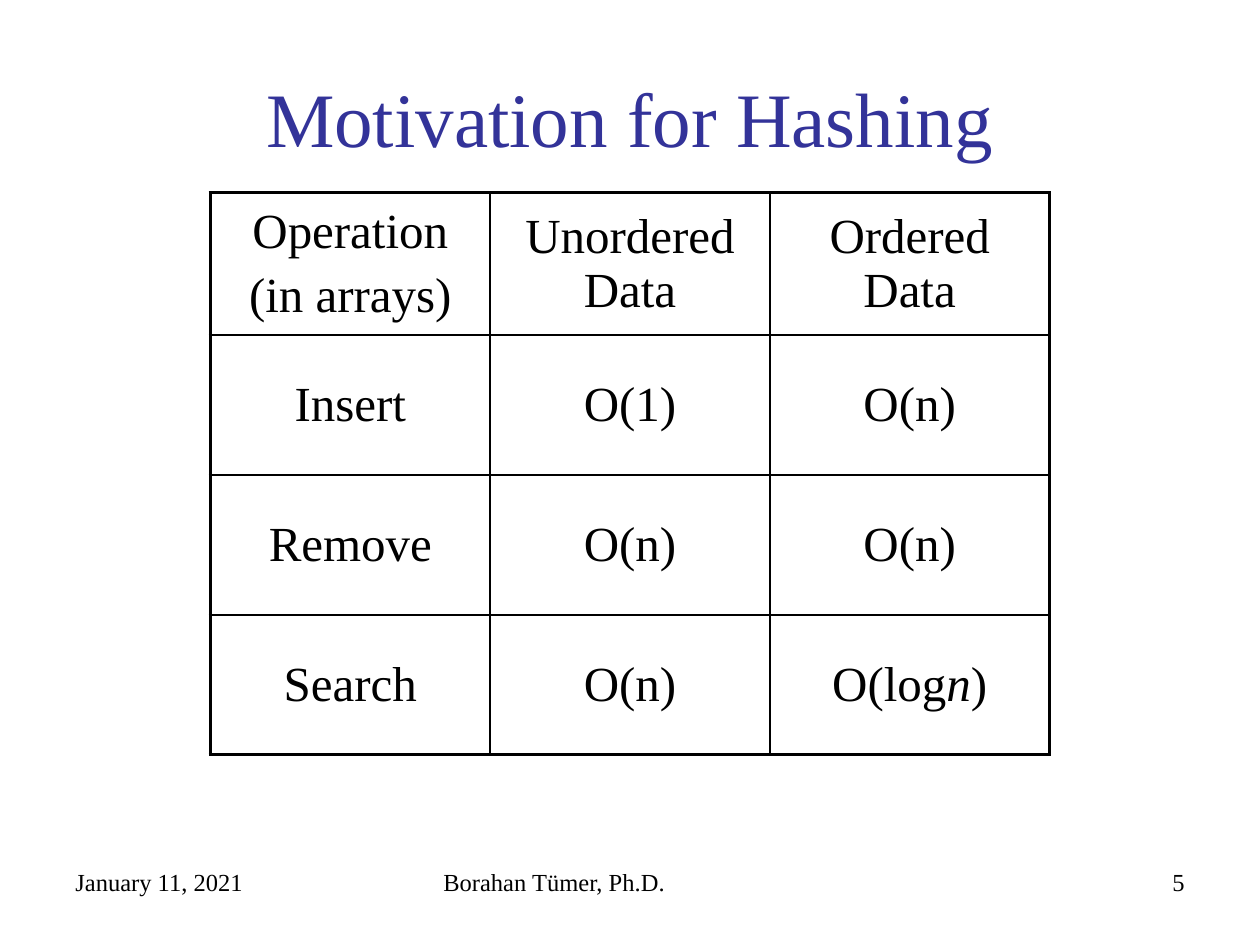
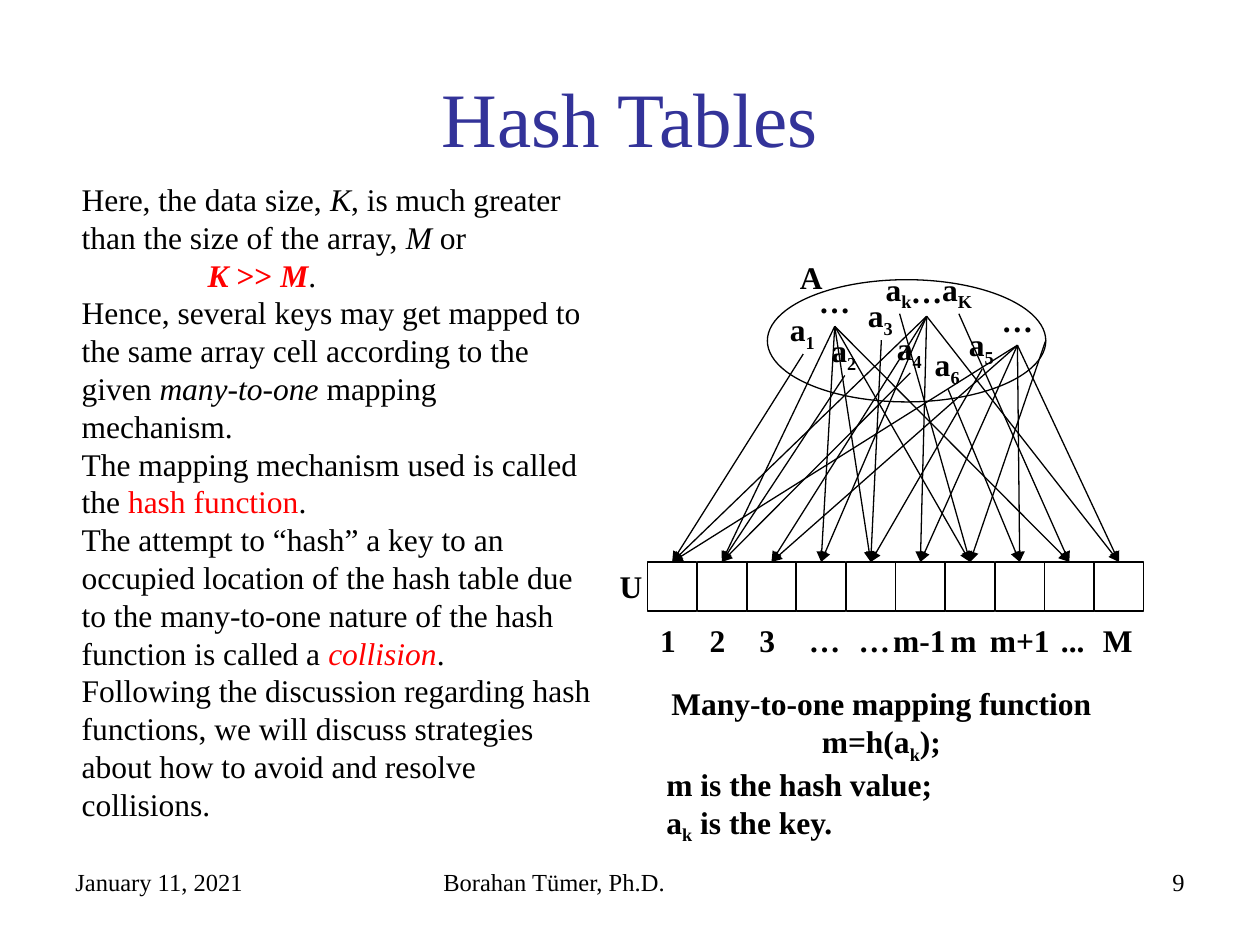
from lxml.etree import SubElement
from pptx import Presentation
from pptx.dml.color import RGBColor
from pptx.enum.shapes import MSO_CONNECTOR, MSO_SHAPE
from pptx.enum.text import MSO_ANCHOR, PP_ALIGN
from pptx.oxml.ns import qn
from pptx.util import Inches, Pt

FONT = "Times New Roman"
COLORS = {"text": "000000", "title": "333399", "accent": "FF0000"}
DATE, AUTHOR = "January 11, 2021", "Borahan Tümer, Ph.D."

# A run is (text, marks): b bold, i italic, r accent colour, s subscript.
# A paragraph is a list of runs.
COMPLEXITY = [
    [[[("Operation", "")], [("(in arrays)", "")]], [[("Unordered Data", "")]], [[("Ordered Data", "")]]],
    [[[("Insert", "")]], [[("O(1)", "")]], [[("O(n)", "")]]],
    [[[("Remove", "")]], [[("O(n)", "")]], [[("O(n)", "")]]],
    [[[("Search", "")]], [[("O(n)", "")]], [[("O(log", ""), ("n", "i"), (")", "")]]],
]
COLUMN_WIDTH = 2.22
ROW_HEIGHTS = [1.13, 1.11, 1.11, 1.11]

EXPLANATION = [
    [("Here, the data size, ", ""), ("K", "i"),
     (", is much greater than the size of the array, ", ""), ("M", "i"), (" or", "")],
    [("K", "bir"), (" >> ", "br"), ("M", "bir"), (".", "")],
    [("Hence, several keys may get mapped to the same array cell according to the given ", ""),
     ("many-to-one", "i"), (" mapping mechanism.", "")],
    [("The mapping mechanism used is called the ", ""), ("hash function", "r"), (".", "")],
    [("The attempt to “hash” a key to an occupied location of the hash table due to the "
      "many-to-one nature of the hash function is called a ", ""), ("collision", "ir"), (".", "")],
    [("Following the discussion regarding hash functions, we will discuss strategies "
      "about how to avoid and resolve collisions.", "")],
]
MAPPING = [
    [("Many-to-one mapping function", "b")],
    [("m=h(a", "b"), ("k", "bs"), (");", "b")],
    [("m is the hash value;", "b")],
    [("a", "b"), ("k", "bs"), (" is the key.", "b")],
]
# letter, subscript, left, top, width, cells the key is mapped to
KEYS = [
    ("a", "1", 6.17, 2.41, 0.41, [0]),
    ("a", "2", 6.5, 2.58, 0.41, [1]),
    ("a", "3", 6.79, 2.3, 0.41, [4]),
    ("a", "4", 7.02, 2.56, 0.41, [1]),
    ("a", "5", 7.59, 2.53, 0.41, [4]),
    ("a", "6", 7.32, 2.69, 0.41, [7]),
    ("a", "k", 6.93, 2.09, 0.42, [6]),
    ("a", "K", 7.38, 2.09, 0.46, [8]),
    ("…", "", 6.4, 2.19, 0.45, [1, 3, 4, 6, 8]),
    ("…", "", 7.13, 2.11, 0.45, [0, 2, 3, 5, 9]),
    ("…", "", 7.85, 2.34, 0.45, [0, 2, 5, 7, 9]),
]
SET_NAMES = [("A", 6.25, 2), ("U", 4.82, 4.45)]
RIM_POINT, RIM_CELL = (8.3, 2.7), 6
# label, shift from the left edge of its cell, width
INDICES = [
    ("1", 0, 0.33), ("2", 0, 0.33), ("3", 0, 0.33), ("…", 0, 0.45), ("…", 0, 0.45),
    ("m-1", -0.12, 0.62), ("m", -0.06, 0.41), ("m+1", -0.14, 0.68), ("...", 0.03, 0.39),
    ("M", -0.03, 0.44),
]
ARRAY_LEFT, ARRAY_TOP, CELL_PITCH, CELL_SIZE = 5.14, 4.46, 0.394, 0.39


def color(name):
    return RGBColor.from_string(COLORS[name])


def write(frame, paragraphs, size, align=PP_ALIGN.LEFT, tone="text", space_before=0):
    for index, runs in enumerate(paragraphs):
        paragraph = frame.paragraphs[0] if index == 0 else frame.add_paragraph()
        paragraph.alignment = align
        paragraph.space_before = Pt(space_before)
        for text, marks in runs:
            run = paragraph.add_run()
            run.text = text
            font = run.font
            font.name, font.size = FONT, Pt(size)
            font.bold, font.italic = "b" in marks, "i" in marks
            font.color.rgb = color("accent" if "r" in marks else tone)
            if "s" in marks:
                run._r.get_or_add_rPr().set("baseline", "-25000")


def add_text(slide, box, paragraphs, size=18, wrap=True, anchor=MSO_ANCHOR.TOP, **style):
    frame = slide.shapes.add_textbox(*map(Inches, box)).text_frame
    frame.word_wrap = wrap
    frame.vertical_anchor = anchor
    write(frame, paragraphs, size, **style)
    return frame


def add_label(slide, left, top, width, runs):
    add_text(slide, (left, top, width, 0.4), [runs], wrap=False)


def add_outline(shapes, preset, *box):
    shape = shapes.add_shape(preset, *map(Inches, box))
    shape.shadow.inherit = False
    shape.fill.background()
    shape.line.color.rgb = color("text")
    shape.line.width = Pt(0.75)


def add_arrow(slide, start, cell):
    """Arrow from a point to the middle of the top edge of an array cell."""
    end = (cell_left(cell) + CELL_SIZE / 2, ARRAY_TOP)
    arrow = slide.shapes.add_connector(MSO_CONNECTOR.STRAIGHT, *map(Inches, start + end))
    arrow.line.color.rgb = color("text")
    arrow.line.width = Pt(0.75)
    SubElement(arrow.line._get_or_add_ln(), qn("a:tailEnd"), type="triangle")
    SubElement(arrow._element.spPr, qn("a:effectLst"))


def cell_left(index):
    return ARRAY_LEFT + index * CELL_PITCH


def set_border(cell, side, width):
    border = SubElement(cell._tc.get_or_add_tcPr(), qn(f"a:ln{side}"), w=str(Pt(width)))
    fill = SubElement(border, qn("a:solidFill"))
    SubElement(fill, qn("a:srgbClr"), val=COLORS["text"])


def add_base_slide(deck, title, number):
    slide = deck.slides.add_slide(deck.slide_layouts[6])
    footers = [(0.5, 2.33, DATE, PP_ALIGN.LEFT), (3.42, 3.17, AUTHOR, PP_ALIGN.LEFT),
               (7.17, 2.33, str(number), PP_ALIGN.RIGHT)]
    for left, width, text, align in footers:
        add_text(slide, (left, 6.83, width, 0.52), [[(text, "")]], 14, align=align)
    add_text(slide, (0.5, 0.3, 9, 1.25), [[(title, "")]], 44, anchor=MSO_ANCHOR.MIDDLE,
             align=PP_ALIGN.CENTER, tone="title")
    return slide


def add_complexity_table(slide):
    rows, columns = len(COMPLEXITY), len(COMPLEXITY[0])
    box = (1.67, 1.53, COLUMN_WIDTH * columns, sum(ROW_HEIGHTS))
    table = slide.shapes.add_table(rows, columns, *map(Inches, box)).table
    table.first_row = table.horz_banding = False
    for column in table.columns:
        column.width = Inches(COLUMN_WIDTH)
    for r, entries in enumerate(COMPLEXITY):
        table.rows[r].height = Inches(ROW_HEIGHTS[r])
        for c, paragraphs in enumerate(entries):
            cell = table.cell(r, c)
            cell.vertical_anchor = MSO_ANCHOR.MIDDLE
            write(cell.text_frame, paragraphs, 28, PP_ALIGN.CENTER, space_before=5.6)
            outer = {"L": c == 0, "R": c == columns - 1, "T": r == 0, "B": r == rows - 1}
            for side, is_outer in outer.items():
                set_border(cell, side, 2.25 if is_outer else 1)
            cell.fill.background()


def add_mapping_diagram(slide):
    array = slide.shapes.add_group_shape()
    for index, (text, shift, width) in enumerate(INDICES):
        left = cell_left(index)
        add_outline(array.shapes, MSO_SHAPE.RECTANGLE, left, ARRAY_TOP, CELL_SIZE, CELL_SIZE)
        add_label(slide, left + shift, 4.88, width, [(text, "b")])
    add_outline(slide.shapes, MSO_SHAPE.OVAL, 6.09, 2.22, 2.21, 0.97)
    for name, left, top in SET_NAMES:
        add_label(slide, left, top, 0.38, [(name, "b")])
    for letter, subscript, left, top, width, cells in KEYS:
        runs = [(letter, "b")] + ([(subscript, "bs")] if subscript else [])
        add_label(slide, left, top, width, runs)
        for cell in cells:
            add_arrow(slide, (left + width / 2, top + 0.4), cell)
    add_arrow(slide, RIM_POINT, RIM_CELL)


def main():
    deck = Presentation()
    deck.slide_width, deck.slide_height = Inches(10), Inches(7.5)

    motivation = add_base_slide(deck, "Motivation for Hashing", 5)
    add_complexity_table(motivation)

    hashing = add_base_slide(deck, "Hash Tables", 9)
    explanation = add_text(hashing, (0.55, 1.38, 4.27, 5.21), EXPLANATION)
    explanation.paragraphs[1]._p.get_or_add_pPr().set("marL", str(Inches(1)))
    add_mapping_diagram(hashing)
    mapping = add_text(hashing, (5.19, 5.38, 3.61, 1.3), MAPPING)
    for paragraph in mapping.paragraphs[:2]:
        paragraph.alignment = PP_ALIGN.CENTER

    deck.save("out.pptx")


if __name__ == "__main__":
    main()
